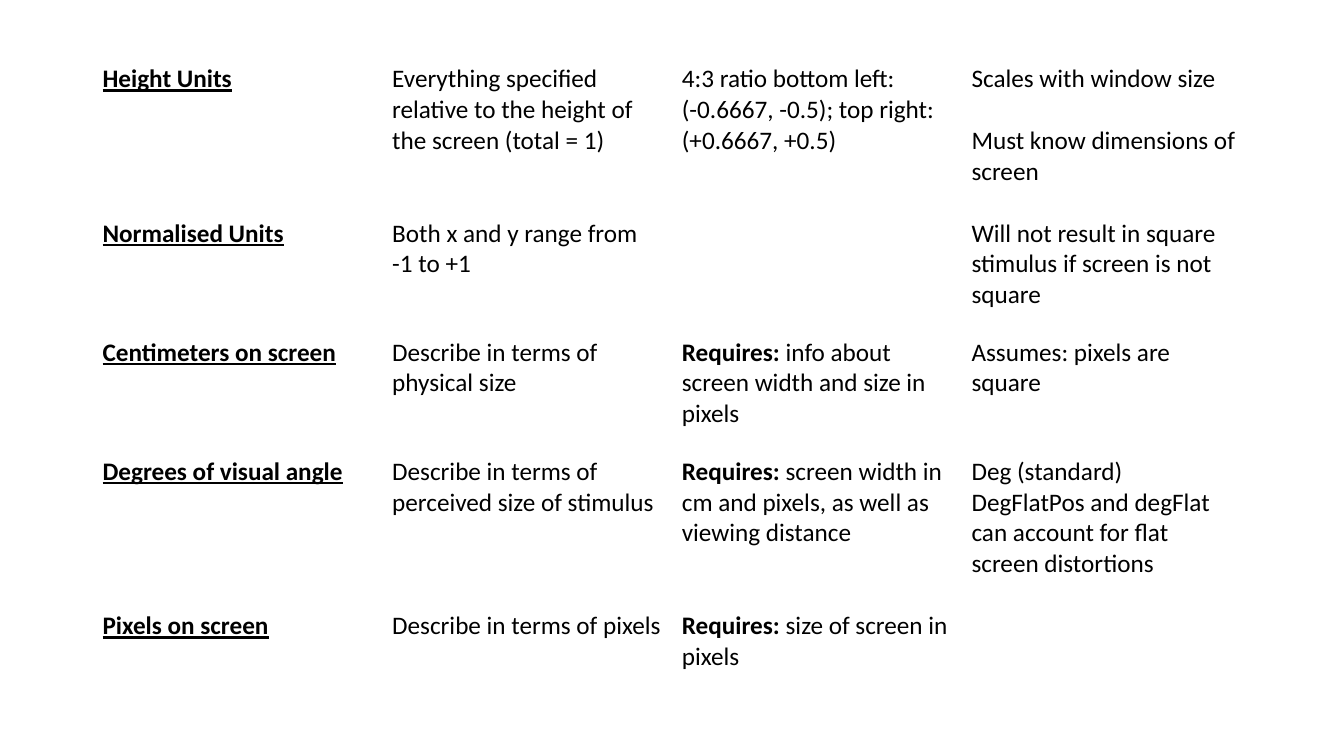
from pptx import Presentation
from pptx.dml.color import RGBColor as RGB
from pptx.enum.text import PP_ALIGN as Align
from pptx.util import Cm, Pt

FONT, SIZE, INK = "Calibri", 18, "000000"
COL_WIDTH = 7.3
ROW_HEIGHTS = [3.89, 3, 3, 3.89, 2.77]
BOLD_LABEL = "Requires:"

# Unit, meaning, details, remarks; "\n" starts a paragraph, "\v" a line
UNITS = [
    ("Height Units",
     "Everything specified relative to the height of the screen (total = 1)",
     "4:3 ratio bottom left: \v(-0.6667, -0.5); top right: (+0.6667, +0.5)",
     "Scales with window size\nMust know dimensions of screen"),
    ("Normalised Units",
     "Both x and y range from \v-1 to +1",
     "",
     "Will not result in square stimulus if screen is not square"),
    ("Centimeters on screen",
     "Describe in terms of physical size",
     "Requires: info about screen width and size in pixels",
     "Assumes: pixels are square"),
    ("Degrees of visual angle",
     "Describe in terms of perceived size of stimulus",
     "Requires: screen width in cm and pixels, as well as viewing distance",
     "Deg (standard)\n"
     "DegFlatPos and degFlat can account for flat screen distortions"),
    ("Pixels on screen",
     "Describe in terms of pixels",
     "Requires: size of screen in pixels",
     ""),
]


def color(hex_code):
    return RGB.from_string(hex_code)


def style_run(r, bold=False, underline=False):
    r.font.name = FONT
    r.font.size = Pt(SIZE)
    r.font.color.rgb = color(INK)
    r.font.bold = bold
    r.font.underline = underline


def fill_cell(cell, text, heading=False):
    cell.fill.background()
    tf = cell.text_frame
    tf.text = text
    for p in tf.paragraphs:
        p.alignment = Align.LEFT
        p.font.size = Pt(SIZE)
        # Split a leading label into its own bold run
        if p.text.startswith(BOLD_LABEL):
            rest = p.text[len(BOLD_LABEL):]
            p.text = BOLD_LABEL
            p.add_run().text = rest
        for r in p.runs:
            style_run(r, heading or r.text == BOLD_LABEL, heading)


def add_units_table(s, left, top):
    cols = len(UNITS[0])
    frame = s.shapes.add_table(len(UNITS), cols, Cm(left), Cm(top),
                               Cm(COL_WIDTH * cols), Cm(sum(ROW_HEIGHTS)))
    table = frame.table
    table.first_row = table.horz_banding = False
    for column in table.columns:
        column.width = Cm(COL_WIDTH)
    for row, height, texts in zip(table.rows, ROW_HEIGHTS, UNITS):
        row.height = Cm(height)
        for i, (cell, text) in enumerate(zip(row.cells, texts)):
            fill_cell(cell, text, heading=i == 0)
    return table


def main():
    prs = Presentation()
    prs.slide_width, prs.slide_height = Cm(33.87), Cm(19.05)
    s = prs.slides.add_slide(prs.slide_layouts[6])

    table = add_units_table(s, 2.33, 1.48)
    # One line of air between the two remarks on height units
    table.cell(0, 3).text_frame.paragraphs[1].space_before = Pt(22)

    prs.save("out.pptx")


if __name__ == "__main__":
    main()
